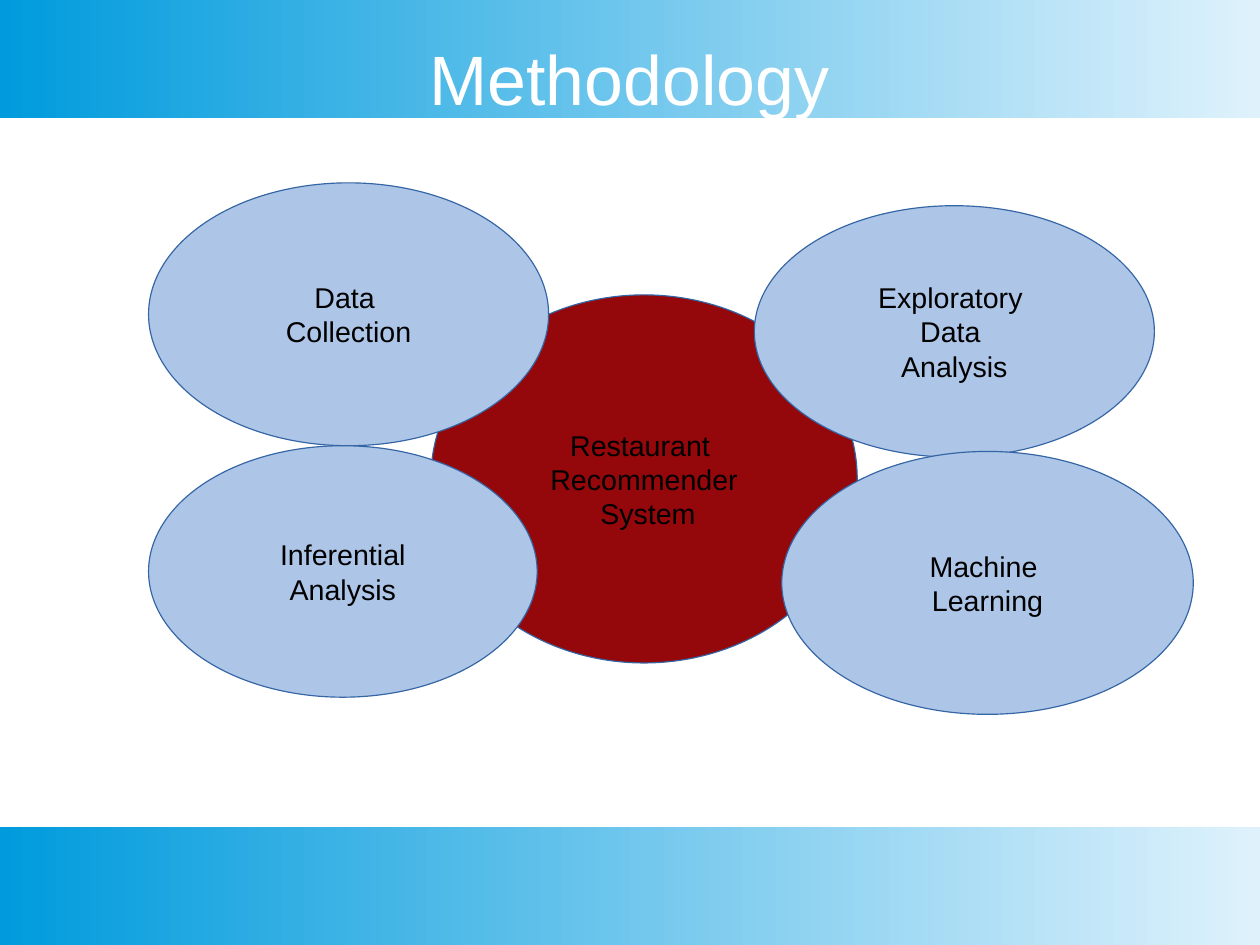
from pptx import Presentation
from pptx.dml.color import RGBColor
from pptx.enum import shapes, text
from pptx.util import Inches, Pt

WHITE = RGBColor(0xFF, 0xFF, 0xFF)
BLACK = RGBColor(0x00, 0x00, 0x00)
SKY = RGBColor(0x00, 0x9B, 0xDD)
PALE_SKY = RGBColor(0xDF, 0xF2, 0xFC)
DARK_RED = RGBColor(0x94, 0x07, 0x0A)
LIGHT_BLUE = RGBColor(0xAD, 0xC5, 0xE7)
OUTLINE_BLUE = RGBColor(0x34, 0x65, 0xA4)

FONT = "Arial"
# The page is 28 cm by 21 cm
WIDTH, HEIGHT = 28 / 2.54, 21 / 2.54
BAND_HEIGHT = 1.03
TITLE = "Methodology"
TITLE_BOX = (0.55, 0.33, 9.92, 0.7)

# Lines, box (left, top, width, height) and fill, from back to front
ELLIPSES = [
    (["Restaurant ", "Recommender", " System"], (3.77, 2.58, 3.73, 3.22), DARK_RED),
    (["Data ", "Collection"], (1.3, 1.6, 3.5, 2.3), LIGHT_BLUE),
    (["Exploratory ", "Data ", "Analysis"], (6.6, 1.8, 3.5, 2.2), LIGHT_BLUE),
    (["Machine ", "Learning"], (6.84, 3.95, 3.6, 2.3), LIGHT_BLUE),
    (["Inferential", "Analysis"], (1.3, 3.9, 3.4, 2.2), LIGHT_BLUE),
]


def write_lines(frame, lines, size, color):
    """Write one centred paragraph per line, anchored in the middle."""
    frame.vertical_anchor = text.MSO_ANCHOR.MIDDLE
    frame.auto_size = text.MSO_AUTO_SIZE.NONE
    for index, line in enumerate(lines):
        paragraph = frame.add_paragraph() if index else frame.paragraphs[0]
        paragraph.alignment = text.PP_ALIGN.CENTER
        run = paragraph.add_run()
        run.text = line
        run.font.name = FONT
        run.font.size = Pt(size)
        run.font.color.rgb = color


def add_band(slide, top):
    band = slide.shapes.add_shape(
        shapes.MSO_SHAPE.RECTANGLE,
        0, Inches(top), Inches(WIDTH), Inches(BAND_HEIGHT))
    band.shadow.inherit = False
    band.line.fill.background()
    band.fill.gradient()
    band.fill.gradient_angle = 180
    for stop, position, color in zip(band.fill.gradient_stops, (0, 1), (PALE_SKY, SKY)):
        stop.position = position
        stop.color.rgb = color


def add_title(slide):
    """Fill the title placeholder and bring it in front of the bands."""
    title = slide.shapes.title
    title.left, title.top, title.width, title.height = map(Inches, TITLE_BOX)
    frame = title.text_frame
    frame.margin_left = frame.margin_right = frame.margin_top = frame.margin_bottom = 0
    write_lines(frame, [TITLE], 44, WHITE)
    title.element.getparent().append(title.element)


def add_ellipse(slide, lines, box, color):
    ellipse = slide.shapes.add_shape(shapes.MSO_SHAPE.OVAL, *map(Inches, box))
    ellipse.shadow.inherit = False
    ellipse.fill.solid()
    ellipse.fill.fore_color.rgb = color
    ellipse.line.color.rgb = OUTLINE_BLUE
    ellipse.line.width = Pt(0.75)
    ellipse.text_frame.word_wrap = False
    write_lines(ellipse.text_frame, lines, 18, BLACK)


def main():
    presentation = Presentation()
    presentation.slide_width = Inches(WIDTH)
    presentation.slide_height = Inches(HEIGHT)
    slide = presentation.slides.add_slide(presentation.slide_layouts[5])
    slide.background.fill.solid()
    slide.background.fill.fore_color.rgb = WHITE
    for top in (0, HEIGHT - BAND_HEIGHT):
        add_band(slide, top)
    add_title(slide)
    for lines, box, color in ELLIPSES:
        add_ellipse(slide, lines, box, color)
    presentation.save("out.pptx")


if __name__ == "__main__":
    main()
